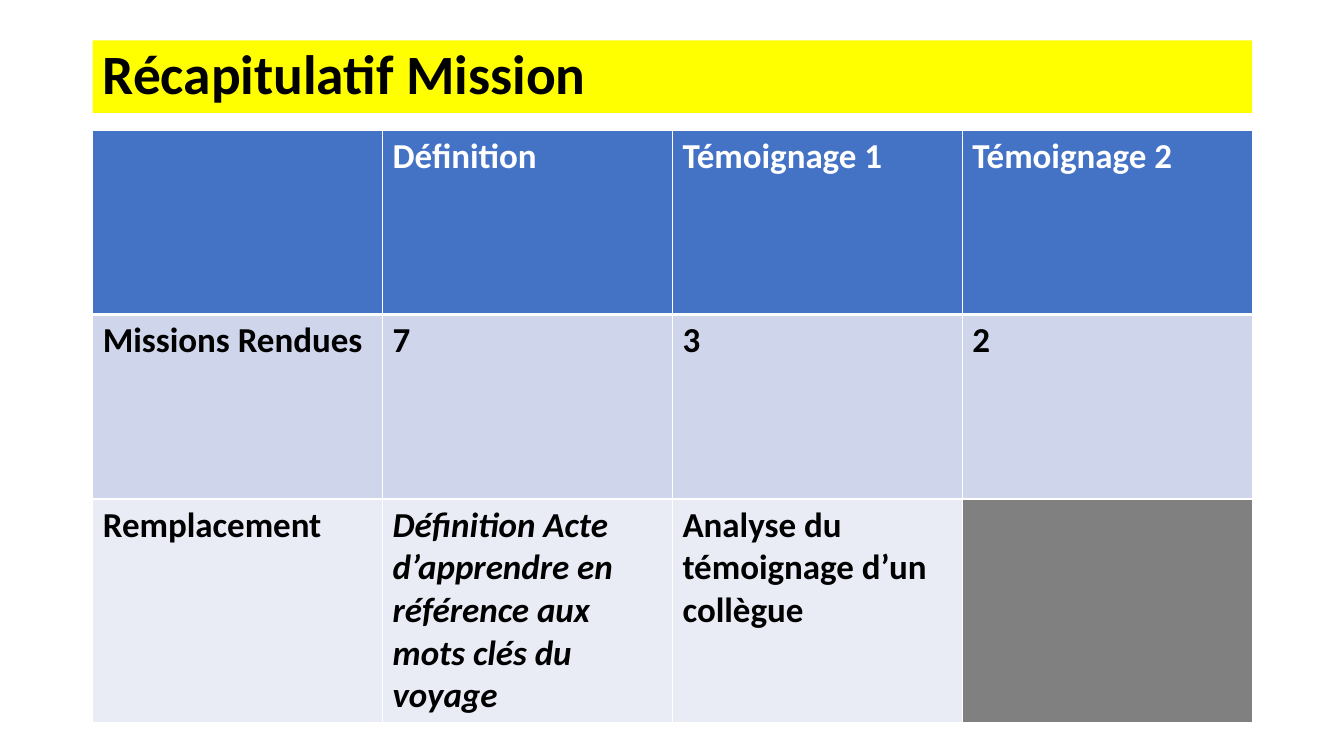
import pptx
import pptx.util
import pptx.dml.color
import pptx.enum.shapes
import pptx.enum.text
import pptx.oxml
import pptx.oxml.ns
from pptx.util import Inches

theme = {
    "font": "Calibri", "title_size": 39.6, "cell_size": 25,
    "text": "000000", "header_text": "FFFFFF", "title_fill": "FFFF00",
    "row_fills": ["4472C4", "CFD5EA", "E9EBF5"],
    "unused_fill": "808080", "border": "FFFFFF",
}


def add_run(p, text, size, color, italic=False):
    r = p.add_run()
    r.text = text
    r.font.name = theme["font"]
    r.font.size = pptx.util.Pt(size)
    r.font.bold = True
    r.font.italic = italic
    r.font.color.rgb = pptx.dml.color.RGBColor.from_string(color)


def add_border(cell, side, points):
    cell._tc.get_or_add_tcPr().append(pptx.oxml.parse_xml(
        f'<a:{side} {pptx.oxml.ns.nsdecls("a")} w="{pptx.util.Pt(points)}">'
        f'<a:solidFill><a:srgbClr val="{theme["border"]}"/></a:solidFill></a:{side}>'))


prs = pptx.Presentation()
prs.slide_width = Inches(13.33)
prs.slide_height = Inches(7.5)
s = prs.slides.add_slide(prs.slide_layouts[6])

left, width = Inches(0.92), Inches(11.5)
title = s.shapes.add_shape(pptx.enum.shapes.MSO_SHAPE.RECTANGLE,
                           left, Inches(0.4), width, Inches(0.72))
title.shadow.inherit = False
title.fill.solid()
title.fill.fore_color.rgb = pptx.dml.color.RGBColor.from_string(theme["title_fill"])
title.line.fill.background()
tf = title.text_frame
tf.word_wrap = True
tf.vertical_anchor = pptx.enum.text.MSO_ANCHOR.MIDDLE
p = tf.paragraphs[0]
p.alignment = pptx.enum.text.PP_ALIGN.LEFT
p.line_spacing = 0.9
add_run(p, "Récapitulatif Mission", theme["title_size"], theme["text"])

rows = [
    ["", "Définition", "Témoignage 1", "Témoignage 2"],
    ["Missions Rendues", "7", "3", "2"],
    ["Remplacement", "Définition Acte d’apprendre en référence aux mots clés du voyage",
     "Analyse du témoignage d’un collègue", ""],
]
row_height = Inches(1.83)
table = s.shapes.add_table(len(rows), len(rows[0]), left, Inches(1.29),
                           width, row_height * len(rows)).table
for i, row in enumerate(rows):
    table.rows[i].height = row_height
    for j, text in enumerate(row):
        cell = table.cell(i, j)
        for side in ("lnL", "lnR"):
            add_border(cell, side, 1)
        add_border(cell, "lnT", 3 if i == 1 else 1)
        add_border(cell, "lnB", 3 if i == 0 else 1)
        unused = i > 0 and not text
        fill = theme["unused_fill"] if unused else theme["row_fills"][i]
        cell.fill.solid()
        cell.fill.fore_color.rgb = pptx.dml.color.RGBColor.from_string(fill)
        if text:
            add_run(cell.text_frame.paragraphs[0], text, theme["cell_size"],
                    theme["header_text"] if i == 0 else theme["text"],
                    italic=(i, j) == (2, 1))

prs.save("out.pptx")
